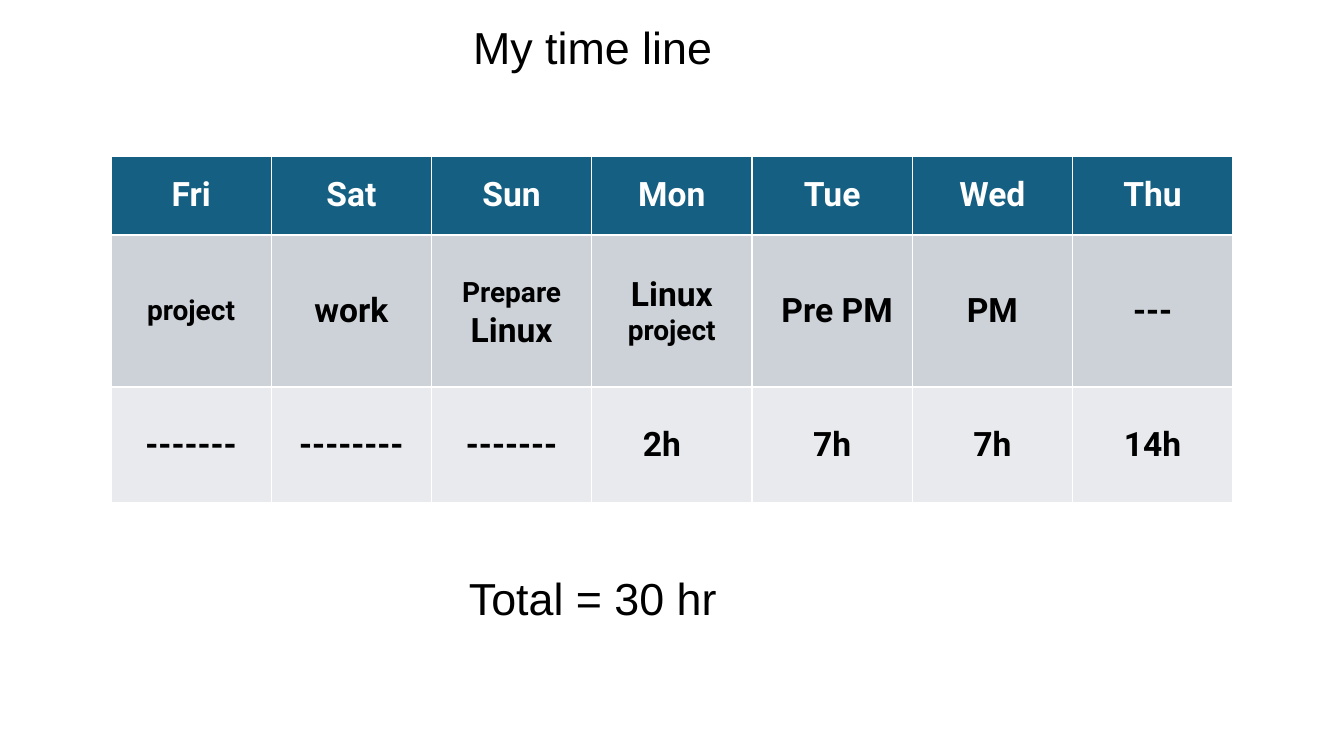
"""Build a one-slide weekly time line with a table of days, tasks and hours."""
from pptx import Presentation
from pptx.dml.color import RGBColor
from pptx.enum.text import MSO_ANCHOR, MSO_AUTO_SIZE, PP_ALIGN
from pptx.util import Emu, Pt

EMU_PER_PX = 914400 / 100.8
WHITE = RGBColor(0xFF, 0xFF, 0xFF)
BLACK = RGBColor(0x00, 0x00, 0x00)
HEADER_BLUE = RGBColor(0x15, 0x60, 0x82)
TASK_GREY = RGBColor(0xCC, 0xD2, 0xD8)
HOURS_GREY = RGBColor(0xE8, 0xEA, 0xED)

LARGE, SMALL = 24, 20
CELL_MARGIN = 10
DAYS = ["Fri", "Sat", "Sun", "Mon", "Tue", "Wed", "Thu"]
TASKS = [
    [[("project", SMALL)]],
    "work",
    [[("Prepare", SMALL), (" Linux", LARGE)]],
    [[("Linux", LARGE)], [("project", SMALL)]],
    "Pre PM",
    "PM",
    "---",
]
HOURS = ["-------", "--------", "-------", "2h", "7h", "7h", "14h"]
ROWS = [
    (79, DAYS, HEADER_BLUE, WHITE),
    (152, TASKS, TASK_GREY, BLACK),
    (116, HOURS, HOURS_GREY, BLACK),
]


def px(length):
    """Turn a length in pixels into EMU."""
    return Emu(round(length * EMU_PER_PX))


def fill_cell(cell, content, fill_color, text_color):
    """Write centred bold paragraphs, given as lists of sized runs, into a cell."""
    cell.fill.solid()
    cell.fill.fore_color.rgb = fill_color
    cell.vertical_anchor = MSO_ANCHOR.MIDDLE
    cell.margin_left = cell.margin_right = px(CELL_MARGIN)
    lines = [[(content, LARGE)]] if isinstance(content, str) else content
    for index, line in enumerate(lines):
        frame = cell.text_frame
        paragraph = frame.add_paragraph() if index else frame.paragraphs[0]
        paragraph.alignment = PP_ALIGN.CENTER
        for text, size in line:
            run = paragraph.add_run()
            run.text = text
            run.font.name = "Roboto"
            run.font.size = Pt(size)
            run.font.bold = True
            run.font.color.rgb = text_color


def add_week_table(slide):
    """Add the table of days, tasks and hours."""
    height = sum(row[0] for row in ROWS)
    table = slide.shapes.add_table(
        len(ROWS), len(DAYS), px(111), px(156), px(1122), px(height)
    ).table
    for row_index, (row_height, contents, fill_color, text_color) in enumerate(ROWS):
        table.rows[row_index].height = px(row_height)
        for column_index, content in enumerate(contents):
            cell = table.cell(row_index, column_index)
            fill_cell(cell, content, fill_color, text_color)
    table.cell(1, DAYS.index("Tue")).margin_left = px(2 * CELL_MARGIN)
    table.cell(2, DAYS.index("Mon")).margin_right = px(3 * CELL_MARGIN)


def set_caption(shape, text, left, top, width):
    """Place a shape and give it one large line of text."""
    shape.left, shape.top = px(left), px(top)
    shape.width, shape.height = px(width), px(64)
    frame = shape.text_frame
    frame.word_wrap = True
    frame.auto_size = MSO_AUTO_SIZE.SHAPE_TO_FIT_TEXT
    frame.vertical_anchor = MSO_ANCHOR.TOP
    frame.text = text
    paragraph = frame.paragraphs[0]
    paragraph.alignment = PP_ALIGN.LEFT
    paragraph.font.name = "Arial"
    paragraph.font.size = Pt(32)
    paragraph.font.color.rgb = BLACK


def main():
    """Build and save the slide."""
    presentation = Presentation()
    presentation.slide_width, presentation.slide_height = px(1344), px(756)
    slide = presentation.slides.add_slide(presentation.slide_layouts[5])
    add_week_table(slide)
    set_caption(slide.shapes.title, "My time line", 463, 15, 291)
    total_box = slide.shapes.add_textbox(0, 0, 0, 0)
    set_caption(total_box, "Total = 30 hr", 459, 566, 301)
    presentation.save("out.pptx")


if __name__ == "__main__":
    main()
